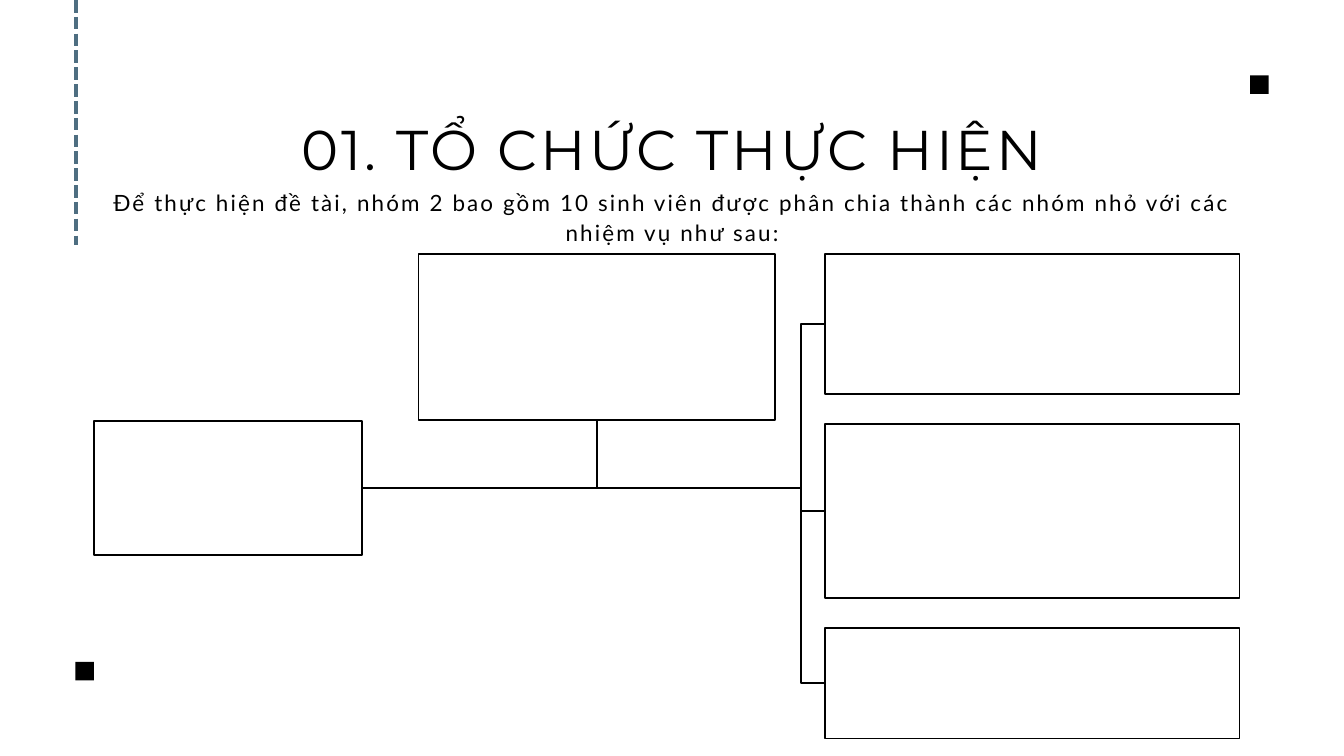
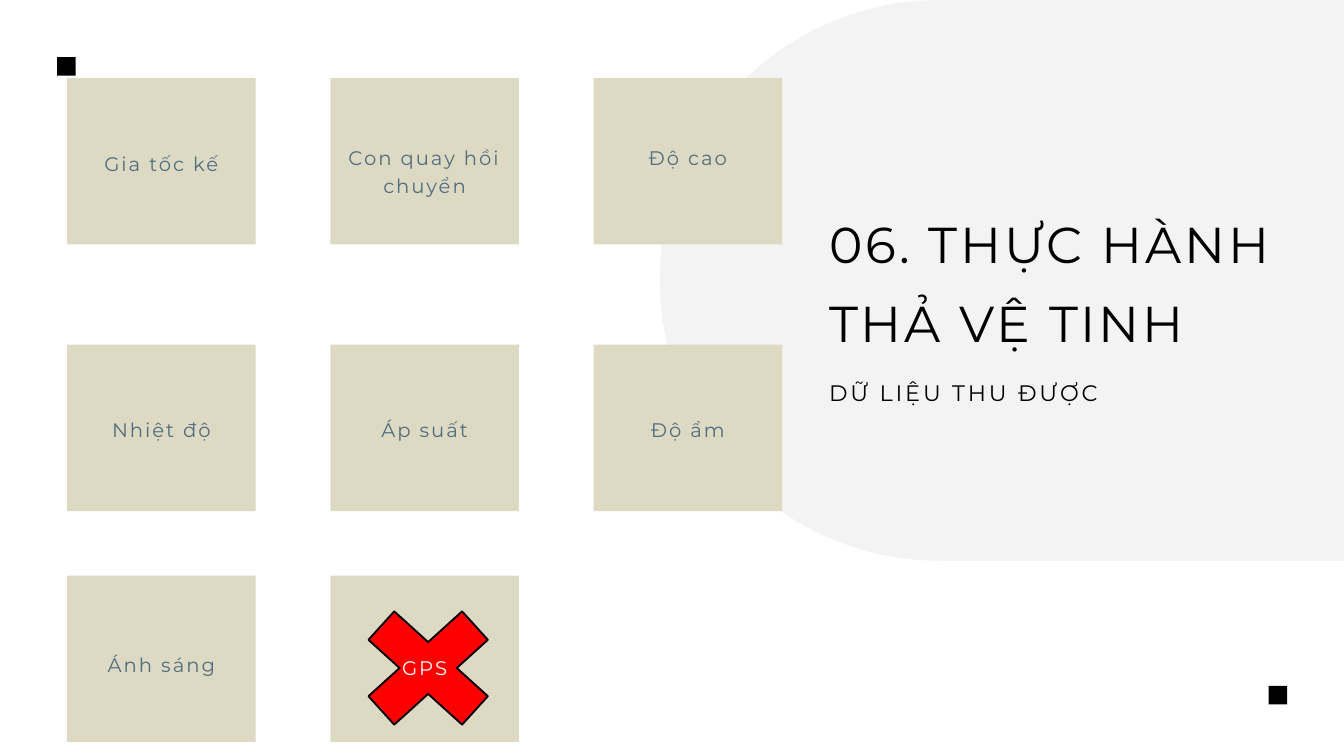
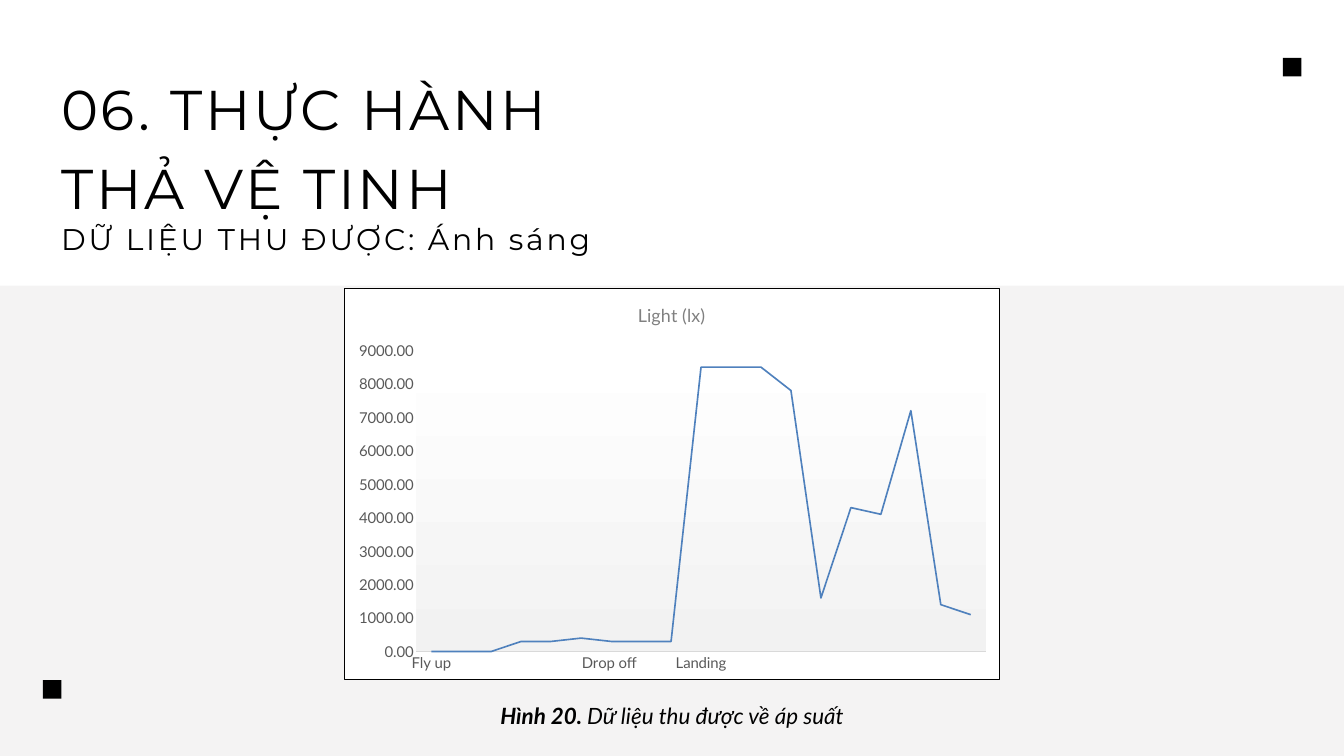
import dataclasses

import pptx
import pptx.chart.data
import pptx.dml.color
import pptx.enum.chart
import pptx.enum.dml
import pptx.enum.shapes
import pptx.enum.text
import pptx.oxml
import pptx.oxml.ns
import pptx.util

Cm = pptx.util.Cm
Pt = pptx.util.Pt
SHAPE = pptx.enum.shapes.MSO_SHAPE
ALIGN = pptx.enum.text.PP_ALIGN


@dataclasses.dataclass(frozen=True)
class Theme:
    ink: str = "000000"
    white: str = "FFFFFF"
    slate: str = "4E6E81"
    sand: str = "DDD9C3"
    mist: str = "F2F1F1"
    red: str = "FF0000"
    series: str = "4F81BD"
    axis_text: str = "595959"
    axis_line: str = "D9D9D9"
    chart_title: str = "808080"
    plot_foot: str = "F2F2F2"
    head_font: str = "Montserrat"
    body_font: str = "Lato"
    title: float = 60
    side_title: float = 54
    subtitle: float = 32
    body: float = 24
    label: float = 21
    chart_head: float = 19.2
    chart_text: float = 16
    outline: float = 2


THEME = Theme()
WIDTH, HEIGHT = 50.8, 28.58


def rgb(color):
    return pptx.dml.color.RGBColor.from_string(color)


def xml(tag, body, attrs=""):
    ns = pptx.oxml.ns.nsdecls("a", "c")
    return pptx.oxml.parse_xml(f"<{tag} {ns} {attrs}>{body}</{tag}>")


def solid(color):
    return f'<a:solidFill><a:srgbClr val="{color}"/></a:solidFill>'


def set_font(font, size, color, name):
    font.size = Pt(size)
    font.color.rgb = rgb(color)
    font.name = name


def add_run(p, text, size, color=THEME.ink, name=THEME.head_font, spacing=0):
    r = p.add_run()
    r.text = text
    set_font(r.font, size, color, name)
    if spacing:
        r._r.get_or_add_rPr().set("spc", str(round(spacing * 100)))
    return r


def place(sp, left, top, width, height):
    sp.left, sp.top, sp.width, sp.height = map(Cm, (left, top, width, height))


def clear_frame(sp):
    tf = sp.text_frame
    tf.word_wrap = True
    tf.vertical_anchor = pptx.enum.text.MSO_ANCHOR.TOP
    tf.margin_left = tf.margin_right = tf.margin_top = tf.margin_bottom = 0
    return tf


def add_title(s, text, box, size, align=ALIGN.LEFT):
    sp = s.shapes.title
    sp.element.getparent().append(sp.element)
    place(sp, *box)
    tf = clear_frame(sp)
    tf.auto_size = pptx.enum.text.MSO_AUTO_SIZE.NONE
    p = tf.paragraphs[0]
    p.alignment, p.line_spacing = align, Pt(84)
    add_run(p, text, size, spacing=3)


def add_text(s, text, box, size, leading, align=ALIGN.LEFT, spacing=3,
             color=THEME.ink, name=THEME.head_font):
    sp = s.shapes.add_textbox(*map(Cm, box))
    tf = clear_frame(sp)
    tf.auto_size = pptx.enum.text.MSO_AUTO_SIZE.SHAPE_TO_FIT_TEXT
    p = tf.paragraphs[0]
    p.alignment, p.line_spacing = align, Pt(leading)
    add_run(p, text, size, color, name, spacing)


def add_caption(s, number, text, box):
    sp = s.shapes.add_textbox(*map(Cm, box))
    sp.text_frame.word_wrap = True
    p = sp.text_frame.paragraphs[0]
    p.alignment, p.space_after = ALIGN.CENTER, Pt(10)
    for part, bold in ((number, True), (text, False)):
        r = add_run(p, part, THEME.body, name=THEME.body_font)
        r.font.bold, r.font.italic = bold, True


def set_outline(sp):
    sp.line.color.rgb = rgb(THEME.ink)
    sp.line.width = Pt(THEME.outline)


def add_block(s, box, fill, kind=SHAPE.RECTANGLE, outlined=False, alpha=None):
    sp = s.shapes.add_shape(kind, *map(Cm, box))
    sp.shadow.inherit = False
    sp.fill.solid()
    sp.fill.fore_color.rgb = rgb(fill)
    if outlined:
        set_outline(sp)
    else:
        sp.line.fill.background()
    if alpha:
        color = sp.element.spPr.find(".//" + pptx.oxml.ns.qn("a:srgbClr"))
        color.append(xml("a:alpha", "", f'val="{alpha * 1000}"'))
    return sp


def add_corner_marks(s, *corners):
    for left, top in corners:
        add_block(s, (left, top, 0.7, 0.7), THEME.ink)


def add_branch(s, points):
    start, *rest = [(Cm(x), Cm(y)) for x, y in points]
    builder = s.shapes.build_freeform(*start, scale=1.0)
    builder.add_line_segments(rest, close=False)
    sp = builder.convert_to_shape()
    sp.shadow.inherit = False
    sp.fill.background()
    set_outline(sp)


def add_dashed_rule(s, x, bottom):
    line = s.shapes.add_connector(
        pptx.enum.shapes.MSO_CONNECTOR.STRAIGHT, Cm(x), 0, Cm(x), Cm(bottom))
    line.line.color.rgb = rgb(THEME.slate)
    line.line.width = Pt(4.5)
    line.line.dash_style = pptx.enum.dml.MSO_LINE.SQUARE_DOT
    line.element.spPr.append(xml("a:effectLst", ""))


def style_chart_areas(chart):
    border = f'<a:ln w="9525">{solid(THEME.ink)}</a:ln>'
    chart.element.find(pptx.oxml.ns.qn("c:chart")).addnext(
        xml("c:spPr", solid(THEME.white) + border))
    plot = chart.element.xpath("c:chart/c:plotArea")[0]
    for old in plot.xpath("c:layout"):
        plot.remove(old)
    modes = '<c:layoutTarget val="inner"/><c:xMode val="edge"/><c:yMode val="edge"/>'
    sides = "".join(f'<c:{side} val="{share}"/>' for side, share in
                    (("x", 0.11), ("y", 0.16), ("w", 0.87), ("h", 0.77)))
    plot.insert(0, xml("c:layout", f"<c:manualLayout>{modes}{sides}</c:manualLayout>"))
    stops = "".join(f'<a:gs pos="{pos}"><a:srgbClr val="{color}"/></a:gs>' for pos, color in
                    ((0, THEME.white), (100000, THEME.plot_foot)))
    plot.append(xml("c:spPr", f'<a:gradFill><a:gsLst>{stops}</a:gsLst>'
                              '<a:lin ang="5400000" scaled="0"/></a:gradFill>'))


def add_line_chart(s, name, marks, values, box):
    data = pptx.chart.data.CategoryChartData(number_format="0.00")
    data.categories = [marks.get(i, "") for i in range(len(values))]
    data.add_series(name, values)
    chart = s.shapes.add_chart(
        pptx.enum.chart.XL_CHART_TYPE.LINE, *map(Cm, box), data).chart
    set_font(chart.font, THEME.chart_text, THEME.ink, THEME.body_font)
    chart.has_legend = False
    chart.has_title = True
    add_run(chart.chart_title.text_frame.paragraphs[0], name, THEME.chart_head,
            THEME.chart_title, THEME.body_font).font.bold = False
    chart.chart_title.include_in_layout = False

    plot = chart.plots[0]
    plot.vary_by_categories = False
    line = plot.series[0]
    line.smooth = False
    line.marker.style = pptx.enum.chart.XL_MARKER_STYLE.NONE
    line.format.line.color.rgb = rgb(THEME.series)
    line.format.line.width = Pt(1.75)

    for axis in (chart.category_axis, chart.value_axis):
        axis.has_major_gridlines = False
        axis.major_tick_mark = axis.minor_tick_mark = pptx.enum.chart.XL_TICK_MARK.NONE
        set_font(axis.tick_labels.font, THEME.chart_text, THEME.axis_text, THEME.body_font)
    chart.category_axis.format.line.color.rgb = rgb(THEME.axis_line)
    chart.category_axis.format.line.width = Pt(0.75)
    chart.element.xpath(".//c:catAx/c:txPr/a:bodyPr")[0].set("rot", "-60000000")
    values_axis = chart.value_axis
    values_axis.format.line.fill.background()
    values_axis.minimum_scale, values_axis.maximum_scale = 0, 9000
    values_axis.major_unit = 1000
    values_axis.tick_labels.number_format = "0.00"
    values_axis.tick_labels.number_format_is_linked = False
    style_chart_areas(chart)


def add_org_chart(s):
    left, top, trunk_x, trunk_y = 31.2, 9.6, 30.28, 18.44
    leader = (3.54, 15.91, 10.13, 5.06)
    deputy = (15.82, top, 13.46, 6.27)
    teams = []
    for height in (5.31, 6.58, 4.17):
        teams.append((left, top, 15.65, height))
        top += height + 1.13

    root = (leader[0] + leader[2], trunk_y)
    stem_x = deputy[0] + deputy[2] / 2
    add_branch(s, [root, (stem_x, trunk_y), (stem_x, deputy[1] + deputy[3])])
    for team in reversed(teams):
        middle = team[1] + team[3] / 2
        add_branch(s, [root, (trunk_x, trunk_y), (trunk_x, middle), (left, middle)])
    for box in (leader, *teams, deputy):
        add_block(s, box, THEME.white, outlined=True)


def add_sensor_grid(s, sensors):
    columns = [2.54 + 9.95 * i for i in range(3)]
    rows = (2.95, 13.03, 21.76)
    width, height = 7.12, 6.29
    for text, col, row, drop, lines in sensors:
        add_block(s, (columns[col], rows[row], width, height), THEME.sand)
    add_block(s, (12.78, 22.17, 6.81, 6.17), THEME.red, SHAPE.MATH_MULTIPLY, outlined=True)
    for text, col, row, drop, lines in sensors:
        overhang = 0.87 if lines == 1 else 0
        box = (columns[col] - overhang, rows[row] + drop, width + 2 * overhang, lines)
        add_text(s, text, box, THEME.label, 29.4, ALIGN.CENTER, 2.1,
                 THEME.white if text == "GPS" else THEME.slate)


def organisation_slide(s):
    add_corner_marks(s, (2.85, 25.02), (47.25, 2.85))
    add_dashed_rule(s, 2.87, 9.27)
    add_title(s, "01. TỔ CHỨC THỰC HIỆN", (3.84, 3.89, 43.13, 2.84),
              THEME.title, ALIGN.CENTER)
    add_text(s, "Để thực hiện đề tài, nhóm 2 bao gồm 10 sinh viên được phân chia "
             "thành các nhóm nhỏ với các nhiệm vụ như sau:",
             (3.84, 7.04, 43.13, 2.18), THEME.body, 32.2, ALIGN.CENTER, 2.3,
             name=THEME.body_font)
    add_org_chart(s)


def sensors_slide(s):
    panel = add_block(s, (24.94, 0, 37.08, 21.2), THEME.mist,
                      SHAPE.ROUNDED_RECTANGLE, alpha=80)
    panel.adjustments[0] = 0.5
    add_sensor_grid(s, [
        ("Gia tốc kế", 0, 0, 2.64, 1),
        ("Con quay hồi chuyển", 1, 0, 2.43, 2),
        ("Độ cao", 2, 0, 2.43, 1),
        ("Nhiệt độ", 0, 1, 2.64, 1),
        ("Áp suất", 1, 1, 2.64, 1),
        ("Độ ẩm", 2, 1, 2.64, 1),
        ("Ánh sáng", 0, 2, 2.78, 1),
        ("GPS", 1, 2, 2.9, 1),
    ])
    add_title(s, "06. THỰC HÀNH THẢ VỆ TINH", (31.34, 7.39, 17.81, 5.72), THEME.side_title)
    add_text(s, "DỮ LIỆU THU ĐƯỢC", (31.34, 13.87, 17.81, 1.32), THEME.body, 42)
    add_corner_marks(s, (2.16, 2.16), (47.95, 25.93))


def light_slide(s):
    add_block(s, (0, 10.8, WIDTH, HEIGHT - 10.8), THEME.mist, alpha=80)
    add_title(s, "06. THỰC HÀNH THẢ VỆ TINH", (2.31, 2.41, 19.84, 5.77), THEME.title)
    add_corner_marks(s, (1.62, 25.71), (48.49, 2.19))
    add_text(s, "DỮ LIỆU THU ĐƯỢC: Ánh sáng", (2.31, 8.23, 29.64, 1.4), THEME.subtitle, 42)
    add_caption(s, "Hình 20. ", "Dữ liệu thu được về áp suất", (12.7, 26.42, 25.4, 1.27))
    add_line_chart(
        s, "Light (lx)", {0: "Fly up", 6: "Drop off ", 9: "Landing"},
        [0, 0, 0, 300, 300, 400, 300, 300, 300, 8500, 8500, 8500, 7800,
         1600, 4300, 4100, 7200, 1400, 1100],
        (13, 10.87, 24.77, 14.81))


def main():
    prs = pptx.Presentation()
    prs.slide_width, prs.slide_height = Cm(WIDTH), Cm(HEIGHT)
    for build in (organisation_slide, sensors_slide, light_slide):
        build(prs.slides.add_slide(prs.slide_layouts[5]))
    prs.save("out.pptx")


if __name__ == "__main__":
    main()
